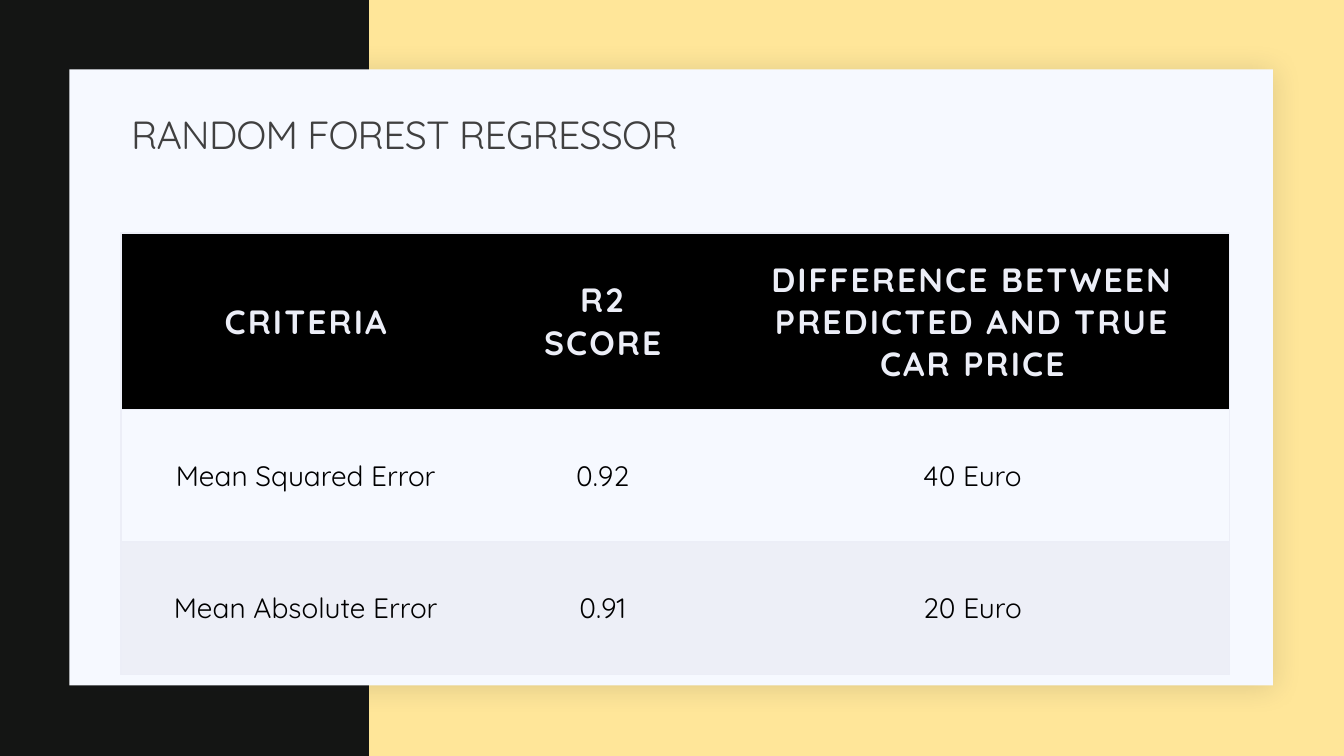
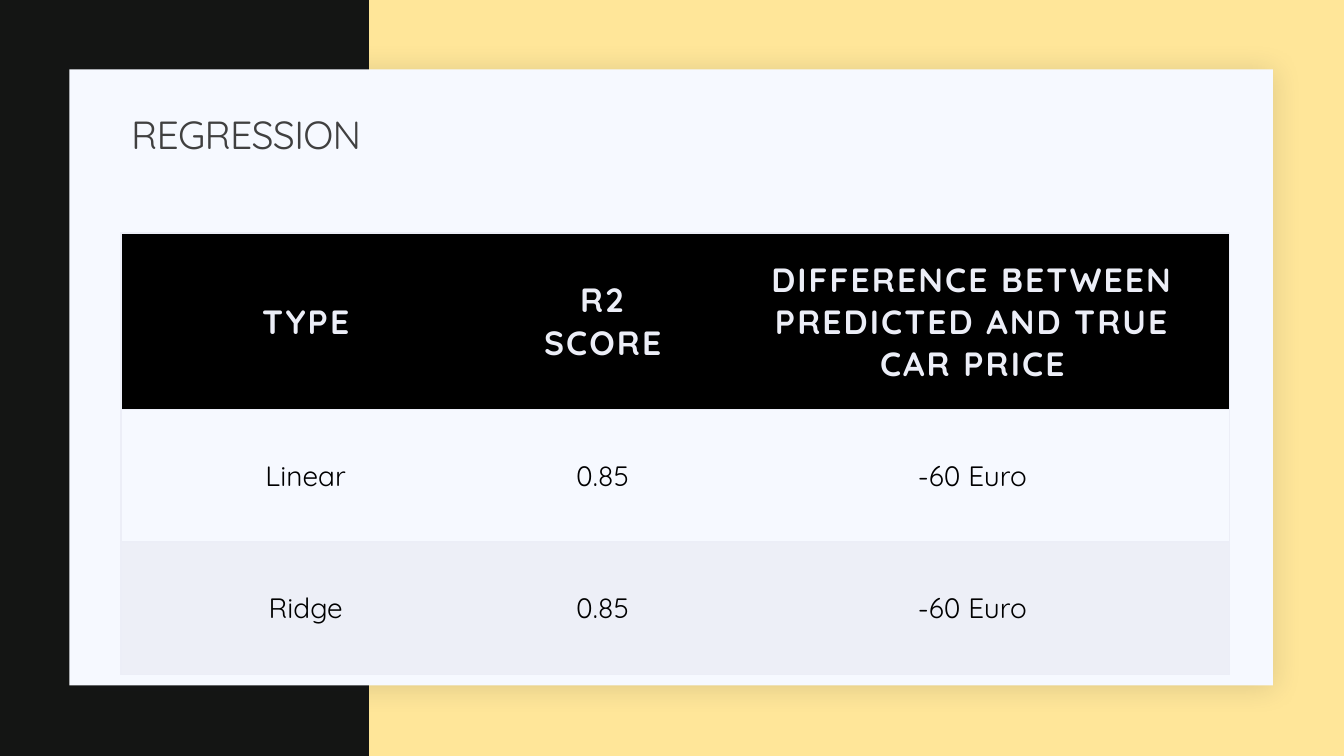
from lxml import etree
from pptx import Presentation
from pptx import oxml
from pptx import util as u
from pptx.dml.color import RGBColor
from pptx.enum import shapes, text
from pptx.oxml import ns

GOLD = RGBColor(0xFF, 0xE6, 0x99)
DARK = RGBColor(0x14, 0x15, 0x14)
PALE = RGBColor(0xF6, 0xF9, 0xFF)
BAND = RGBColor(0xED, 0xEF, 0xF7)
EDGE = RGBColor(0xEC, 0xEE, 0xF7)
GREY = RGBColor(0x40, 0x40, 0x40)
SHADE = RGBColor(0x1F, 0x21, 0x25)
BLACK = RGBColor(0, 0, 0)

FONT = "Quicksand"
LEFT, WIDE = u.Cm(3.05), u.Cm(27.94)
COLS = [u.Cm(9.31), u.Cm(5.66), u.Cm(12.97)]
ROWS = [u.Cm(3.63), u.Cm(3.33), u.Cm(3.33)]
FILLS = [BLACK, PALE, BAND]
PLAIN = "{2D5ABB26-0587-4C30-8999-92F81FD0307C}"
LAST = ["R2 SCORE", "DIFFERENCE BETWEEN PREDICTED AND TRUE CAR PRICE"]

DECK = [
    ("RANDOM FOREST REGRESSOR", [
        ["CRITERIA", *LAST],
        ["Mean Squared Error", "0.92", "40 Euro"],
        ["Mean Absolute Error", "0.91", "20 Euro"],
    ]),
    ("REGRESSION", [
        ["TYPE", *LAST],
        ["Linear", "0.85", "-60 Euro"],
        ["Ridge", "0.85", "-60 Euro"],
    ]),
]


def put(frame, words, size=20, color=BLACK, bold=False, space=0,
        align=text.PP_ALIGN.CENTER, line=None):
    """Write one formatted paragraph into a text frame."""
    para = frame.paragraphs[0]
    para.alignment = align
    if line:
        para.line_spacing = line
    run = para.add_run()
    run.text = words
    font = run.font
    font.name, font.size, font.bold = FONT, u.Pt(size), bold
    font.color.rgb = color
    run._r.get_or_add_rPr().set("spc", str(round(space * 100)))


def box(slide, left, top, width, height, color):
    """Add a plain filled rectangle."""
    rect = slide.shapes.add_shape(
        shapes.MSO_SHAPE.RECTANGLE, left, top, width, height)
    rect.shadow.inherit = False
    rect.fill.solid()
    rect.fill.fore_color.rgb = color
    rect.line.fill.background()
    return rect


def shade(rect):
    """Give a shape a soft shadow."""
    soft = oxml.parse_xml(
        f'<a:outerShdw {ns.nsdecls("a")} blurRad="{u.Pt(20)}" '
        f'dist="{u.Pt(2)}" dir="2700000" algn="tl" rotWithShape="0">'
        f'<a:srgbClr val="{SHADE}"><a:alpha val="15000"/></a:srgbClr>'
        '</a:outerShdw>')
    rect.element.spPr.find(ns.qn("a:effectLst")).append(soft)


def dress(layout, slide):
    """Set the shared ground, panels and title place on the layout."""
    fill = layout.background.fill
    fill.solid()
    fill.fore_color.rgb = GOLD
    side = box(slide, 0, 0, u.Cm(9.3), u.Cm(19.05), DARK)
    card = box(slide, u.Cm(1.75), u.Cm(1.75), u.Cm(30.33), u.Cm(15.52), PALE)
    shade(card)
    for spot, rect in enumerate([side, card], 2):
        layout.shapes.element.insert(spot, rect.element)
    title = layout.placeholders[0]
    title.left, title.top = LEFT, u.Cm(2.62)
    title.width, title.height = WIDE, u.Cm(1.63)
    title.text_frame.vertical_anchor = text.MSO_ANCHOR.MIDDLE


def edge(cell, sides):
    """Draw thin lines on the named sides of a cell."""
    props = cell._tc.get_or_add_tcPr()
    for spot, side in enumerate(sides):
        line = etree.Element(ns.qn(f"a:ln{side}"), w=str(u.Pt(1)))
        fill = etree.SubElement(line, ns.qn("a:solidFill"))
        etree.SubElement(fill, ns.qn("a:srgbClr"), val=str(EDGE))
        props.insert(spot, line)


def grid(slide, data):
    """Add the score table."""
    frame = slide.shapes.add_table(
        len(ROWS), len(COLS), LEFT, u.Cm(5.87), WIDE, sum(ROWS))
    table = frame.table
    next(frame.element.iter(ns.qn("a:tableStyleId"))).text = PLAIN
    for col, width in zip(table.columns, COLS):
        col.width = width
    for row, height in zip(table.rows, ROWS):
        row.height = height
    head = dict(size=24, color=EDGE, bold=True, space=1.5)
    for i, line in enumerate(data):
        for j, words in enumerate(line):
            cell = table.cell(i, j)
            cell.fill.solid()
            cell.fill.fore_color.rgb = FILLS[i]
            cell.vertical_anchor = text.MSO_ANCHOR.MIDDLE
            cell.margin_left = cell.margin_right = u.Cm(0.64)
            cell.margin_top = cell.margin_bottom = u.Cm(0.64)
            put(cell.text_frame, words, **({} if i else head))
            edge(cell, ["LTB", "TB", "RTB"][j])


def main():
    """Build and save the deck."""
    deck = Presentation()
    deck.slide_width, deck.slide_height = u.Cm(33.87), u.Cm(19.05)
    layout = deck.slide_layouts[5]
    for name, data in DECK:
        slide = deck.slides.add_slide(layout)
        if len(deck.slides) == 1:
            dress(layout, slide)
        grid(slide, data)
        put(slide.shapes.title.text_frame, name, size=28, color=GREY,
            space=-0.5, align=text.PP_ALIGN.LEFT, line=0.9)
    deck.save("out.pptx")


main()
